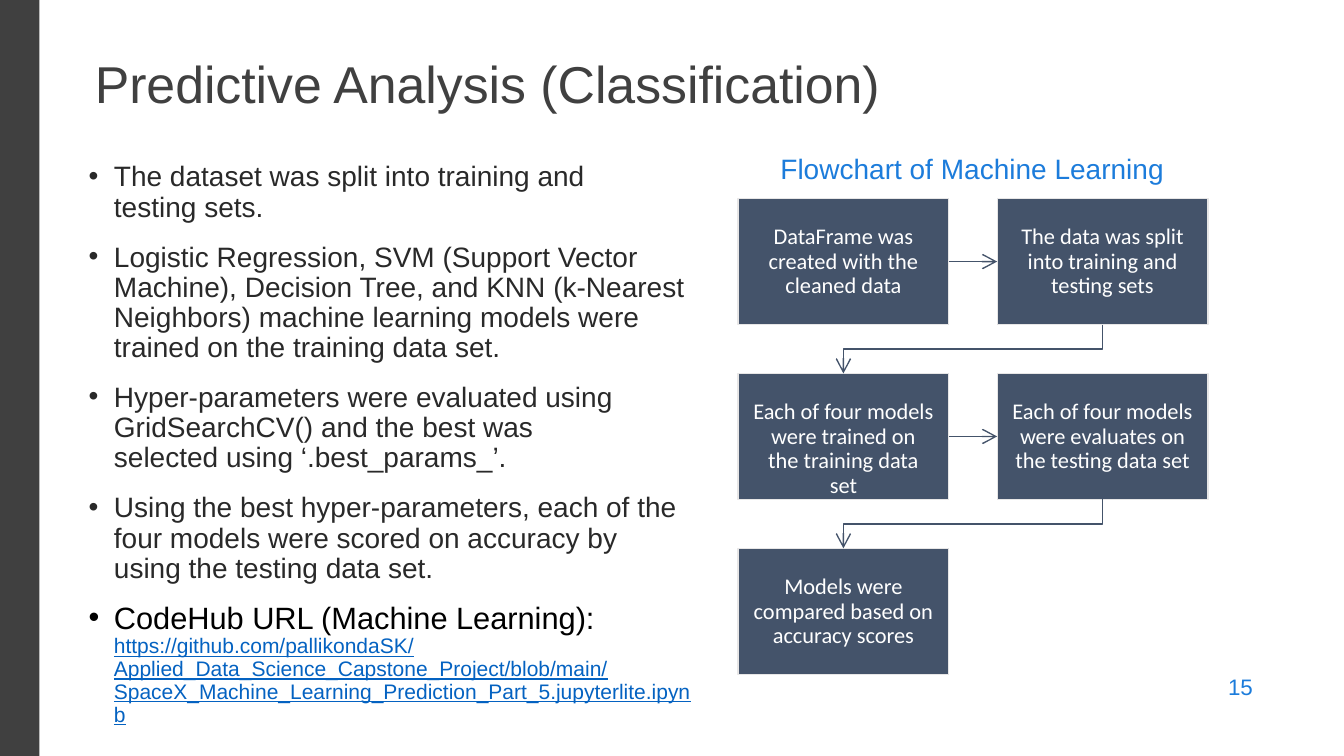
from copy import deepcopy

from lxml import etree
from pptx import Presentation
from pptx import util as u
from pptx.dml.color import RGBColor
from pptx.enum import shapes, text
from pptx.oxml import ns

CHARCOAL = RGBColor(0x40, 0x40, 0x40)
INK = RGBColor(0x29, 0x29, 0x29)
BLACK = RGBColor(0, 0, 0)
BLUE = RGBColor(0x1C, 0x7C, 0xDB)
LINK = RGBColor(0x04, 0x62, 0xC1)
SLATE = RGBColor(0x44, 0x53, 0x6A)
PALE = RGBColor(0xE7, 0xE6, 0xE6)
WHITE = RGBColor(0xFF, 0xFF, 0xFF)


def write(box, lines, size=20, color=INK, font="Arial", align=text.PP_ALIGN.LEFT,
          spacing=None, before=0, top=0.02, side=0, underline=None, new_para=False):
    """Write one paragraph into a shape; each \\v starts a new line."""
    frame = box.text_frame
    if new_para:
        para = frame.add_paragraph()
    else:
        para = frame.paragraphs[0]
        frame.word_wrap = True
        frame.auto_size = text.MSO_AUTO_SIZE.NONE
        frame.vertical_anchor = text.MSO_ANCHOR.TOP
        frame.margin_top, frame.margin_bottom = u.Inches(top), 0
        frame.margin_left = frame.margin_right = u.Inches(side)
    para.text = lines
    para.alignment = align
    para.space_before = u.Pt(before)
    if spacing:
        para.line_spacing = spacing
    for span in para.runs:
        span.font.name, span.font.size = font, u.Pt(size)
        span.font.color.rgb = color
        span.font.underline = underline
    for line_break in para._p.findall(ns.qn("a:br")):
        line_break.insert(0, deepcopy(para.runs[0]._r.rPr))
    return para


def draw_arrow(kind, left, top, right, bottom):
    arrow = page.shapes.add_connector(
        kind, *[u.Inches(value) for value in (left, top, right, bottom)])
    arrow.line.color.rgb = SLATE
    arrow.line.width = u.Pt(1)
    etree.SubElement(arrow.line._get_or_add_ln(), ns.qn("a:tailEnd"),
                     type="arrow", w="lg", len="lg")
    etree.SubElement(arrow._element.spPr, ns.qn("a:effectLst"))
    return arrow


deck = Presentation()
deck.slide_width, deck.slide_height = u.Inches(13.33), u.Inches(7.5)
page = deck.slides.add_slide(deck.slide_layouts[1])

# Side band
band = page.shapes.add_shape(shapes.MSO_SHAPE.RECTANGLE, 0, 0, u.Inches(0.39), deck.slide_height)
band.shadow.inherit = False
band.fill.solid()
band.fill.fore_color.rgb = CHARCOAL
band.line.fill.background()

# Title
title = page.shapes.title
title.left, title.top = u.Inches(0.94), u.Inches(0.49)
title.width, title.height = u.Inches(7.82), u.Inches(0.64)
write(title, "Predictive Analysis (Classification)", size=37, color=CHARCOAL)

# Bullets: text, space before, size, line pitch, colour
body = page.placeholders[1]
body.left, body.top = u.Inches(0.87), u.Inches(1.51)
body.width, body.height = u.Inches(6.09), u.Inches(5.52)
bullets = [
    ("The dataset was split into training and\vtesting sets.", 0, 20, 21.6, INK),
    ("Logistic Regression, SVM (Support Vector\vMachine), Decision Tree, and KNN (k-Nearest\v"
     "Neighbors) machine learning models were\vtrained on the training data set.",
     14.1, 20, 21.6, INK),
    ("Hyper-parameters were evaluated using\vGridSearchCV() and the best was\v"
     "selected using ‘.best_params_’.", 13.6, 20, 21.6, INK),
    ("Using the best hyper-parameters, each of the\vfour models were scored on accuracy by\v"
     "using the testing data set.", 14.3, 20, 21.6, INK),
    ("CodeHub URL (Machine Learning):", 11, 22, 25.6, BLACK),
]
for index, (lines, before, size, pitch, color) in enumerate(bullets):
    para = write(body, lines, size=size, color=color, spacing=u.Pt(pitch),
                 before=before, top=0.1, new_para=index > 0)
    para._p.get_or_add_pPr().set("marL", str(u.Inches(0.26)))
    para._p.pPr.set("indent", str(u.Inches(-0.25)))

address = write(
    body, "https://github.com/pallikondaSK/Applied_Data_Science_Capstone_Project/blob/main/"
    "SpaceX_Machine_Learning_Prediction_Part_5.jupyterlite.ipynb",
    size=15, color=LINK, spacing=u.Pt(16.3), underline=True, new_para=True)
address._p.pPr.set("marL", str(u.Inches(0.26)))
address._p.pPr.set("indent", "0")
etree.SubElement(address._p.pPr, ns.qn("a:buNone"))

# Flowchart heading and page number
for lines, size, left, top, width, height in [
        ("Flowchart of Machine Learning", 20, 7.74, 1.48, 3.95, 0.36),
        ("15", 16, 12.18, 6.66, 0.28, 0.29)]:
    label = page.shapes.add_textbox(*[u.Inches(value) for value in (left, top, width, height)])
    write(label, lines, size=size, color=BLUE)

# Flowchart steps, two to a row
LEFT, TOP, WIDTH, HEIGHT = 7.32, 1.97, 2.09, 1.25
COLUMN_STEP, ROW_STEP = 2.57, 1.735
steps = [
    "DataFrame was\vcreated with the\vcleaned data",
    "The data was split\vinto training and\vtesting sets",
    "Each of four models\vwere trained on\vthe training data\vset",
    "Each of four models\vwere evaluates on\vthe testing data set",
    "Models were\vcompared based on\vaccuracy scores",
]
boxes = []
for index, lines in enumerate(steps):
    row, column = divmod(index, 2)
    box = page.shapes.add_shape(
        shapes.MSO_SHAPE.RECTANGLE, u.Inches(LEFT + column * COLUMN_STEP),
        u.Inches(TOP + row * ROW_STEP), u.Inches(WIDTH), u.Inches(HEIGHT))
    box.shadow.inherit = False
    box.fill.solid()
    box.fill.fore_color.rgb = SLATE
    box.line.color.rgb = PALE
    box.line.width = u.Pt(0.96)
    write(box, lines, size=16, color=WHITE, font="Calibri", align=text.PP_ALIGN.CENTER,
          spacing=0.92, top=0.26, side=0.05)
    boxes.append(box)

# Arrows across each row and back down to the next
for row in range(2):
    middle = TOP + row * ROW_STEP + HEIGHT / 2
    across = draw_arrow(shapes.MSO_CONNECTOR.STRAIGHT, LEFT + WIDTH, middle,
                        LEFT + COLUMN_STEP, middle)
    across.begin_connect(boxes[2 * row], 3)
    across.end_connect(boxes[2 * row + 1], 1)

    # A quarter turn makes the elbow leave downwards and arrive downwards
    gap = ROW_STEP - HEIGHT
    center_x = LEFT + (WIDTH + COLUMN_STEP) / 2
    center_y = TOP + row * ROW_STEP + HEIGHT + gap / 2
    down = draw_arrow(shapes.MSO_CONNECTOR.ELBOW, center_x - gap / 2, center_y - COLUMN_STEP / 2,
                      center_x + gap / 2, center_y + COLUMN_STEP / 2)
    down._element.spPr.xfrm.set("rot", "5400000")

deck.save("out.pptx")
